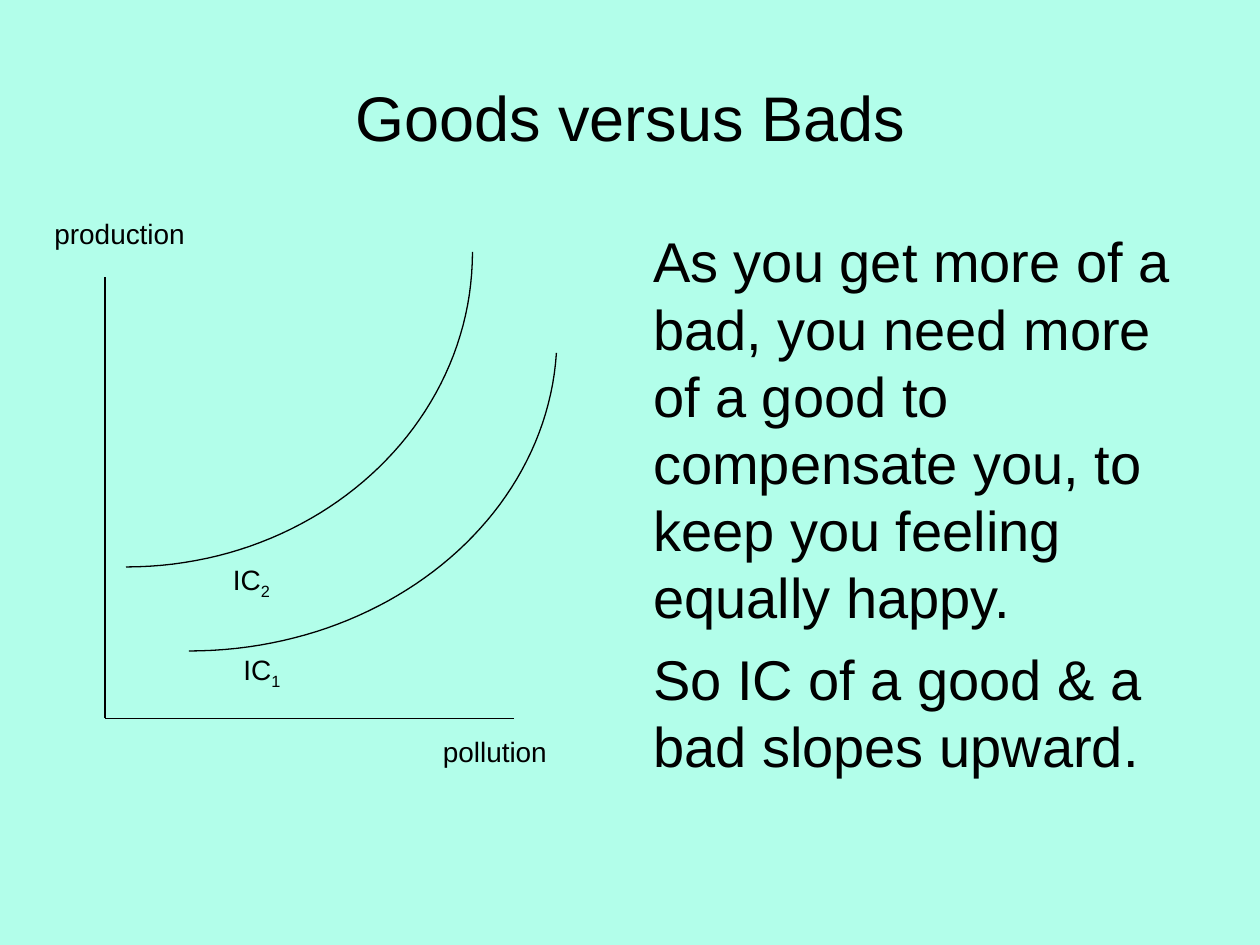
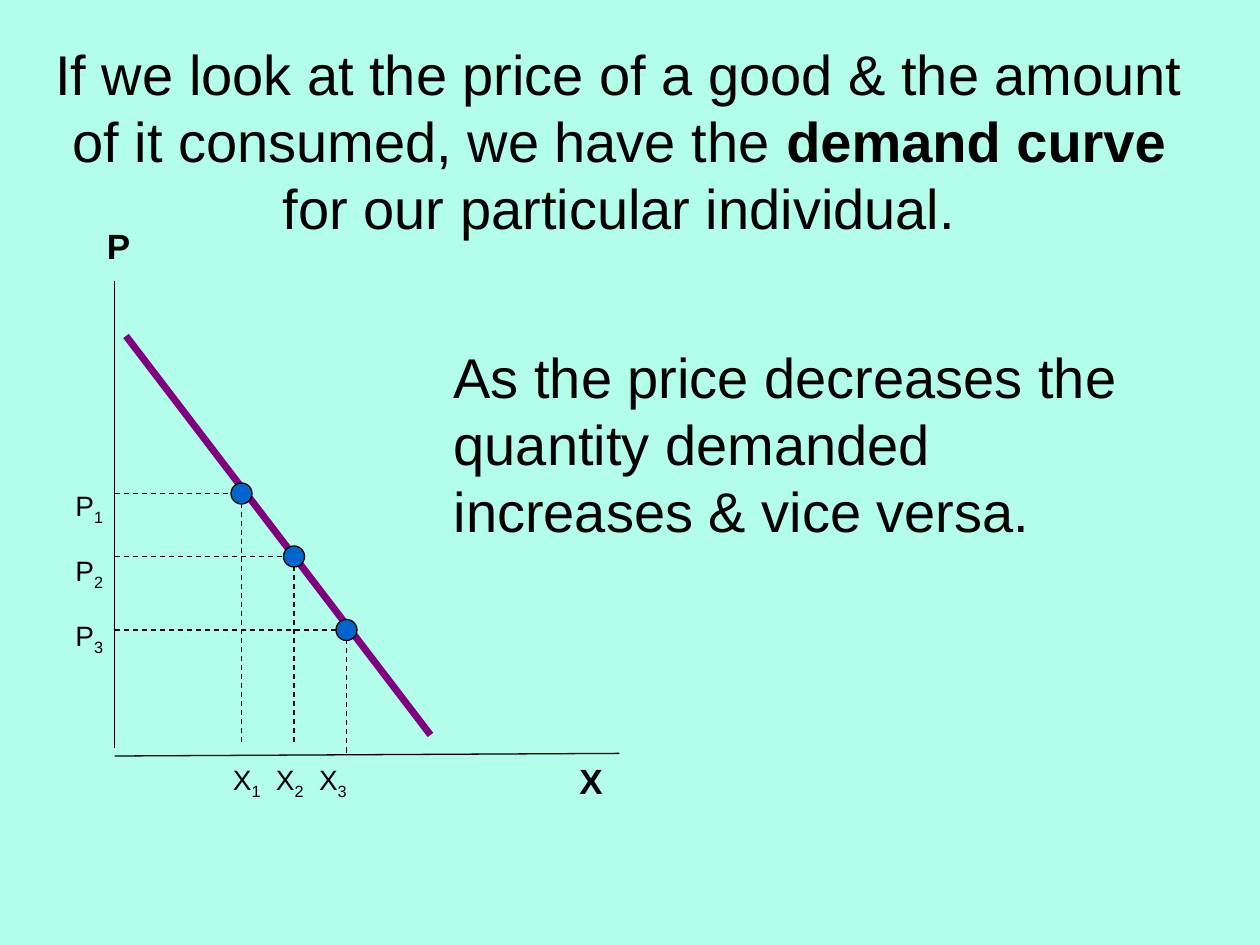
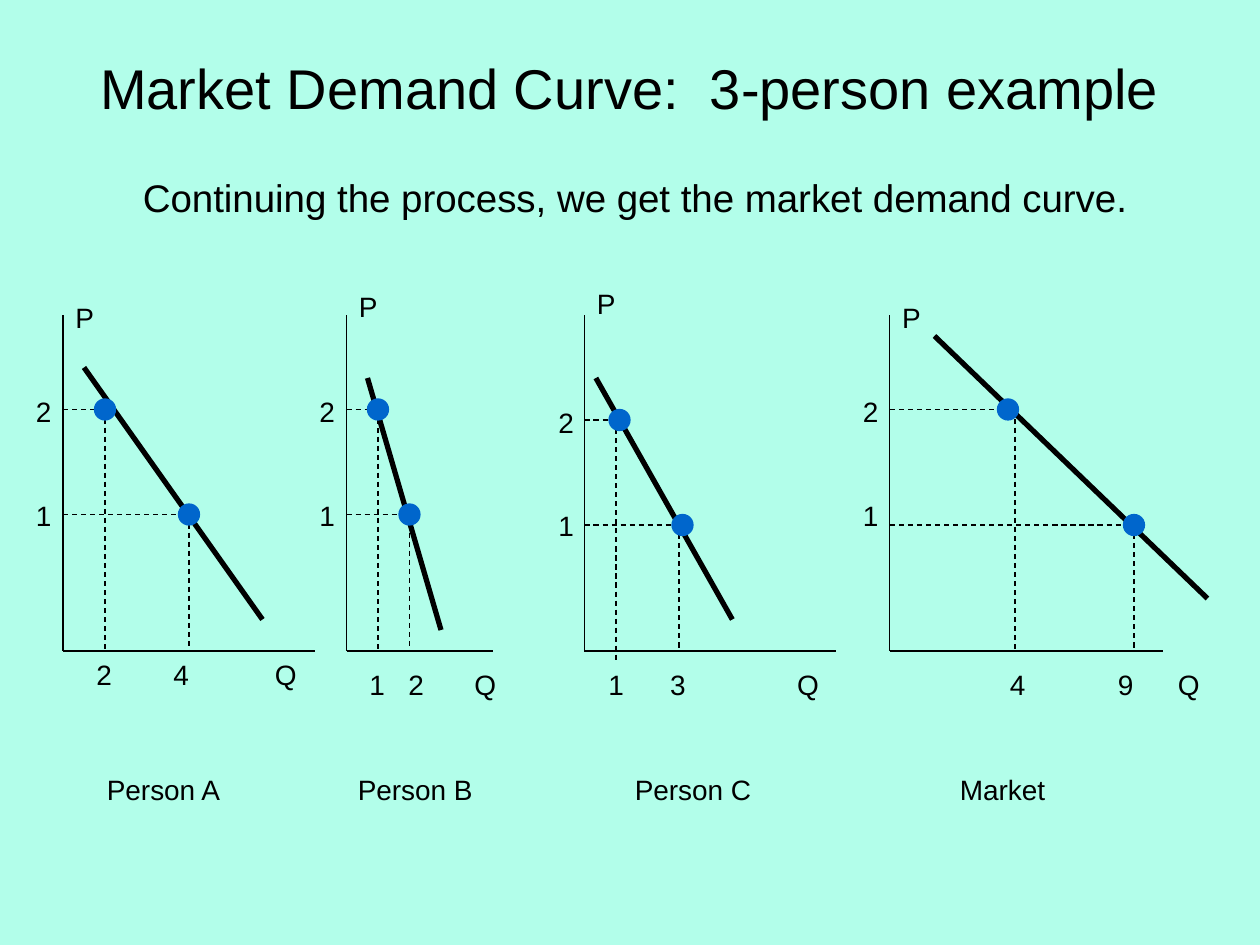
from lxml.etree import SubElement
from pptx import Presentation
from pptx.dml.color import RGBColor
from pptx.enum.dml import MSO_LINE
from pptx.enum.shapes import MSO_CONNECTOR, MSO_SHAPE
from pptx.enum.text import MSO_ANCHOR, MSO_AUTO_SIZE, PP_ALIGN
from pptx.oxml.ns import qn
from pptx.util import Pt

MINT = RGBColor(0xB2, 0xFE, 0xEA)
BLACK = RGBColor(0x00, 0x00, 0x00)
BLUE = RGBColor(0x00, 0x66, 0xCC)
PURPLE = RGBColor(0x80, 0x00, 0x80)
FONT = "Arial"
DOT = 12
TITLE_ONLY, TITLE_AND_BODY = 5, 1

# Content: boxes are (left, top, width, height) in points;
# in texts "_" lowers the next character and "**" encloses bold words
GOODS_BADS = {
    "title": ("Goods versus Bads", (36, 21.6, 648, 90), 36),
    "body": (["As you get more of a bad, you need more of a good to compensate you, "
              "to keep you feeling equally happy.",
              "So IC of a good & a bad slopes upward."], (366, 126, 318, 356)),
    "axes": [(60, 158.4, 60, 410.4), (60, 410.4, 294, 410.4)],
    "labels": [("production", (24, 120, 96, 27)), ("pollution", (246, 416, 78, 27)),
               ("IC_1", (132, 369.5, 60, 30)), ("IC_2", (126, 318, 60, 30))],
    # Start, two control points and end of each indifference curve
    "curves": [[(72, 324), (181.5, 324), (270, 243.4), (270, 144)],
               [(108, 372), (219.6, 372), (311.8, 297.4), (318, 201.6)]],
}

DEMAND = {
    "title": ("If we look at the price of a good & the amount of it consumed, "
              "we have the **demand curve** for our particular individual.",
              (24, 21.6, 660, 117), 32),
    "body": (["As the price decreases the quantity demanded increases & vice versa."],
             (252, 192, 432, 138)),
    "axes": [(65.5, 160.5, 65.5, 427.5), (65.5, 432, 354, 430.5)],
    "names": [("X", (324, 430.5, 27, 32)), ("P", (54, 124.5, 78, 32))],
    "curve": (246, 420, 72, 192),
    # Dot centre (x, y) and foot of its vertical guide
    "points": [(138, 282, 426), (168, 318, 426), (198, 360, 432)],
    "quantities": ("X_1\tX_2\tX_3", (126, 432, 84, 30), [24.6, 49.2]),
    "prices": (["P_1", "P_2", "P_3"], (36, 270, 36, 109)),
}

MARKET = {
    "title": ("Market Demand Curve:  3-person example", (36, 21.6, 648, 56), 32),
    "subtitle": ("Continuing the process, we get the market demand curve.",
                 (36, 96, 654, 34)),
    "people": ("Person A\tPerson B\tPerson C\tMarket", (54, 438, 642, 27),
               [143.4, 301.7, 487.4]),
}
AXIS_TOP, AXIS_FOOT = 180, 372
# "points" holds dot centre (x, y), then x and foot of the vertical guide
MARKET_GRAPHS = [
    {"axis": (36, 180), "curve": (48, 210, 150, 354),
     "points": [(60, 234, 60, 372), (108, 294, 108, 372)],
     "p": (36, 168), "q": (150, 372), "prices": (13.5, 222),
     "quantities": ("2\t4", 48, 372, 44)},
    {"axis": (198, 282), "curve": (210, 216, 252, 360),
     "points": [(216, 234, 216, 372), (234, 294, 234, 372)],
     "p": (198, 162), "q": (264, 378), "prices": (175.5, 222),
     "quantities": ("1\t2", 204, 378, 22.3)},
    {"axis": (334, 478), "curve": (340.5, 216, 418.5, 354),
     "points": [(354, 240, 352, 378), (390, 300, 388, 372)],
     "p": (334, 160), "q": (448.5, 378), "prices": (312, 228),
     "quantities": ("1\t3", 340.5, 378, 35.4)},
    {"axis": (508.5, 664.5), "curve": (534, 192, 690, 342),
     "points": [(576, 234, 580, 372), (648, 300, 648, 372)],
     "p": (508.5, 168), "q": (666, 378), "prices": (486, 222),
     "quantities": ("4\t9", 570, 378, 61.7)},
]


# Text
def write(paragraph, text, size, bold=False):
    def add_run(piece, is_bold, lowered=False):
        if piece:
            run = paragraph.add_run()
            run.text = piece
            if is_bold:
                run.font.bold = True
            if lowered:
                run._r.get_or_add_rPr().set("baseline", "-25000")

    for i, part in enumerate(text.split("**")):
        is_bold = bold or i % 2 == 1
        first, *rest = part.split("_")
        add_run(first, is_bold)
        for piece in rest:
            add_run(piece[0], is_bold, lowered=True)
            add_run(piece[1:], is_bold)
    font = paragraph.font
    font.name, font.size, font.color.rgb = FONT, Pt(size), BLACK


def place(shape, box):
    shape.left, shape.top, shape.width, shape.height = map(Pt, box)


def add_label(slide, texts, box, size=16, bold=False, align=PP_ALIGN.LEFT,
              tabs=(), gap=0, spacing=1.0):
    frame = slide.shapes.add_textbox(*map(Pt, box)).text_frame
    frame.word_wrap = True
    for i, text in enumerate([texts] if isinstance(texts, str) else texts):
        paragraph = frame.add_paragraph() if i else frame.paragraphs[0]
        if tabs:
            stops = SubElement(paragraph._p.get_or_add_pPr(), qn("a:tabLst"))
            for tab in tabs:
                SubElement(stops, qn("a:tab"), pos=str(Pt(tab)), algn="l")
        paragraph.alignment = align
        paragraph.line_spacing = spacing
        if i:
            paragraph.space_before = Pt(gap)
        write(paragraph, text, size, bold)


def add_slide(prs, content):
    has_body = "body" in content
    slide = prs.slides.add_slide(
        prs.slide_layouts[TITLE_AND_BODY if has_body else TITLE_ONLY])
    text, box, size = content["title"]
    title = slide.shapes.title
    place(title, box)
    title.text_frame.auto_size = MSO_AUTO_SIZE.NONE
    title.text_frame.vertical_anchor = MSO_ANCHOR.MIDDLE
    title.text_frame.paragraphs[0].alignment = PP_ALIGN.CENTER
    write(title.text_frame.paragraphs[0], text, size)
    if has_body:
        texts, box = content["body"]
        body = slide.placeholders[1]
        place(body, box)
        frame = body.text_frame
        frame.auto_size = MSO_AUTO_SIZE.NONE
        for i, text in enumerate(texts):
            paragraph = frame.add_paragraph() if i else frame.paragraphs[0]
            properties = paragraph._p.get_or_add_pPr()
            properties.set("marL", "0")
            properties.set("indent", "0")
            SubElement(properties, qn("a:buNone"))
            paragraph.space_before = Pt(8 if i else 0)
            write(paragraph, text, 32)
    return slide


# Graph parts
def add_line(slide, ends, color=BLACK, width=0.75, dashed=False):
    connector = slide.shapes.add_connector(MSO_CONNECTOR.STRAIGHT, *map(Pt, ends))
    connector.line.color.rgb = color
    connector.line.width = Pt(width)
    if dashed:
        connector.line.dash_style = MSO_LINE.DASH
    SubElement(connector._element.spPr, qn("a:effectLst"))


def add_dot(slide, x, y, outline):
    dot = slide.shapes.add_shape(MSO_SHAPE.OVAL, Pt(x - DOT / 2), Pt(y - DOT / 2),
                                 Pt(DOT), Pt(DOT))
    dot.shadow.inherit = False
    dot.fill.solid()
    dot.fill.fore_color.rgb = BLUE
    dot.line.color.rgb = outline
    dot.line.width = Pt(0.75)


def add_curve(slide, controls, steps=48):
    def point(t):
        weights = ((1 - t) ** 3, 3 * t * (1 - t) ** 2, 3 * t * t * (1 - t), t ** 3)
        return tuple(Pt(sum(w * c[axis] for w, c in zip(weights, controls)))
                     for axis in (0, 1))

    start, *rest = [point(i / steps) for i in range(steps + 1)]
    builder = slide.shapes.build_freeform(*start)
    builder.add_line_segments(rest, close=False)
    curve = builder.convert_to_shape()
    curve.shadow.inherit = False
    curve.fill.background()
    curve.line.color.rgb = BLACK
    curve.line.width = Pt(0.75)


def add_guides(slide, axis_x, x, y, foot_x, foot_y):
    add_line(slide, (axis_x, y, x, y), dashed=True)
    add_line(slide, (foot_x, y, foot_x, foot_y), dashed=True)


# Slides
def build_goods_bads(prs):
    slide = add_slide(prs, GOODS_BADS)
    for axis in GOODS_BADS["axes"]:
        add_line(slide, axis)
    for text, box in GOODS_BADS["labels"]:
        add_label(slide, text, box)
    for controls in GOODS_BADS["curves"]:
        add_curve(slide, controls)


def build_demand(prs):
    slide = add_slide(prs, DEMAND)
    for axis in DEMAND["axes"]:
        add_line(slide, axis)
    for text, box in DEMAND["names"]:
        add_label(slide, text, box, size=20, bold=True)
    for x, y, foot in DEMAND["points"]:
        add_guides(slide, DEMAND["axes"][0][0], x, y, x, foot)
    add_line(slide, DEMAND["curve"], PURPLE, 4)
    for x, y, _ in DEMAND["points"]:
        add_dot(slide, x, y, BLACK)
    text, box, tabs = DEMAND["quantities"]
    add_label(slide, text, box, tabs=tabs)
    prices, box = DEMAND["prices"]
    add_label(slide, prices, box, gap=10, spacing=1.25)


def build_market(prs):
    slide = add_slide(prs, MARKET)
    text, box = MARKET["subtitle"]
    add_label(slide, text, box, size=22, align=PP_ALIGN.CENTER)
    for graph in MARKET_GRAPHS:
        left, right = graph["axis"]
        add_line(slide, (left, AXIS_TOP, left, AXIS_FOOT))
        add_line(slide, (left, AXIS_FOOT, right, AXIS_FOOT))
        add_line(slide, graph["curve"], width=3)
        for point in graph["points"]:
            add_guides(slide, left, *point)
        for x, y, *_ in graph["points"]:
            add_dot(slide, x, y, BLUE)
        add_label(slide, "P", (*graph["p"], 36, 27))
        add_label(slide, "Q", (*graph["q"], 36, 27))
        add_label(slide, ["2", "1"], (*graph["prices"], 28, 85), gap=40)
        text, x, y, tab = graph["quantities"]
        add_label(slide, text, (x, y, 90, 27), tabs=[tab])
    text, box, tabs = MARKET["people"]
    add_label(slide, text, box, tabs=tabs)


def main():
    prs = Presentation()
    prs.slide_width, prs.slide_height = Pt(720), Pt(540)
    background = prs.slide_master.background.fill
    background.solid()
    background.fore_color.rgb = MINT
    build_goods_bads(prs)
    build_demand(prs)
    build_market(prs)
    prs.save("out.pptx")


if __name__ == "__main__":
    main()
